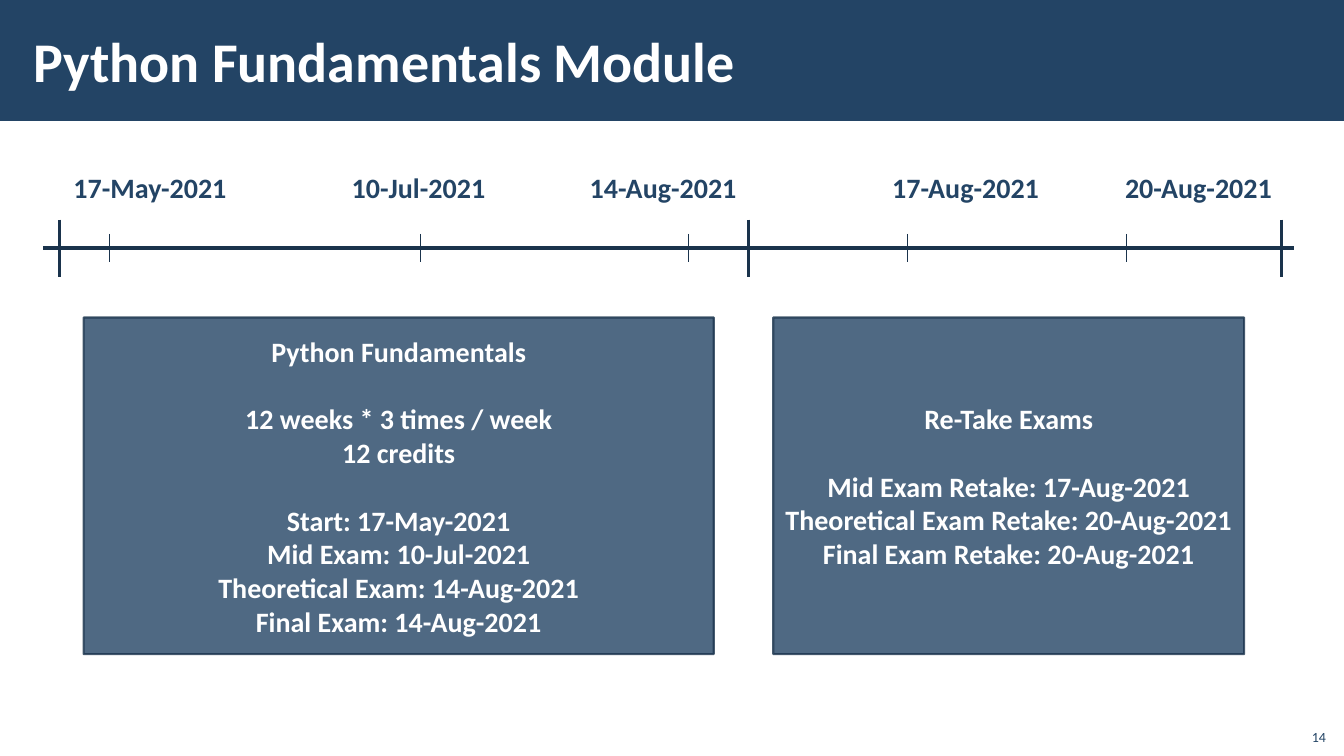
import pptx
import pptx.dml.color
import pptx.enum.shapes
import pptx.enum.text
import pptx.oxml
import pptx.oxml.ns
import pptx.util

Inches = pptx.util.Inches
Pt = pptx.util.Pt
ALIGN = pptx.enum.text.PP_ALIGN
ANCHOR = pptx.enum.text.MSO_ANCHOR
RECTANGLE = pptx.enum.shapes.MSO_SHAPE.RECTANGLE

NAVY = "234465"
DARK_NAVY = "1A334C"
WHITE = "FFFFFF"
FONT = "Calibri"
BLANK_LINE = 24.4  # height in points of one 20 pt line


def color(hex_string):
    return pptx.dml.color.RGBColor.from_string(hex_string)


def add_run(paragraph, text, size, hex_string, bold=True):
    run = paragraph.add_run()
    run.text = text
    run.font.name = FONT
    run.font.size = Pt(size)
    run.font.bold = bold
    run.font.color.rgb = color(hex_string)


def set_opacity(color_format_owner, percent):
    """Make the solid colour inside a fill or line element translucent."""
    for color_element in color_format_owner.iter(pptx.oxml.ns.qn("a:srgbClr")):
        alpha = color_element.makeelement(pptx.oxml.ns.qn("a:alpha"), {"val": str(percent * 1000)})
        color_element.append(alpha)


def add_rectangle(slide, left, top, width, height):
    shape = slide.shapes.add_shape(
        RECTANGLE, Inches(left), Inches(top), Inches(width), Inches(height))
    shape.shadow.inherit = False
    shape.fill.solid()
    shape.fill.fore_color.rgb = color(NAVY)
    return shape


def add_line(slide, x1, y1, x2, y2, weight):
    line = slide.shapes.add_connector(
        pptx.enum.shapes.MSO_CONNECTOR.STRAIGHT,
        Inches(x1), Inches(y1), Inches(x2), Inches(y2))
    line.line.color.rgb = color(DARK_NAVY)
    line.line.width = Pt(weight)
    properties = line.element.spPr
    properties.append(properties.makeelement(pptx.oxml.ns.qn("a:effectLst"), {}))


def add_header(slide, width, height, text):
    band = add_rectangle(slide, 0, 0, width, height)
    band.line.fill.background()

    # The title sits on top of the band
    title = slide.shapes.title
    band.element.addnext(title.element)
    title.left, title.top = Inches(0.21), Inches(0.11)
    title.width, title.height = Inches(10.63), Inches(height - 0.23)
    frame = title.text_frame
    frame.auto_size = pptx.enum.text.MSO_AUTO_SIZE.NONE
    frame.vertical_anchor = ANCHOR.MIDDLE
    frame.margin_left = frame.margin_right = Inches(0.12)
    frame.margin_top = frame.margin_bottom = Inches(0.04)
    paragraph = frame.paragraphs[0]
    paragraph.alignment = ALIGN.LEFT
    add_run(paragraph, text, 40, WHITE)


def add_timeline(slide, left, middle, width, borders, events):
    # Axis
    add_line(slide, left, middle, left + width, middle, 2.25)

    # Long marks bound the periods
    for x in borders:
        add_line(slide, x, middle - 0.28, x, middle + 0.29, 2.25)

    # Short marks with their dates
    for x, label_left, label_width, date in events:
        add_line(slide, x, middle - 0.14, x, middle + 0.14, 0.5)
        label = slide.shapes.add_textbox(
            Inches(label_left), Inches(middle - 0.82), Inches(label_width), Inches(0.44))
        label.text_frame.word_wrap = False
        add_run(label.text_frame.paragraphs[0], date, 20, NAVY)


def add_period_box(slide, left, top, width, height, groups):
    box = add_rectangle(slide, left, top, width, height)
    box.line.color.rgb = color(DARK_NAVY)
    box.line.width = Pt(1.5)
    set_opacity(box.element.spPr, 80)
    frame = box.text_frame
    frame.word_wrap = True
    frame.vertical_anchor = ANCHOR.MIDDLE
    paragraph = None
    for group in groups:
        for index, text in enumerate(group):
            first = paragraph is None
            paragraph = frame.paragraphs[0] if first else frame.add_paragraph()
            paragraph.alignment = ALIGN.CENTER
            if index == 0 and not first:
                paragraph.space_before = Pt(BLANK_LINE)
            add_run(paragraph, text, 20, WHITE)


def add_page_number(slide, left, top, width, height, number):
    box = slide.shapes.add_textbox(Inches(left), Inches(top), Inches(width), Inches(height))
    box.text_frame.word_wrap = True
    box.text_frame.vertical_anchor = ANCHOR.BOTTOM
    paragraph = box.text_frame.paragraphs[0]
    paragraph.alignment = ALIGN.RIGHT
    add_run(paragraph, number, 10, NAVY, bold=False)


def main():
    presentation = pptx.Presentation()
    presentation.slide_width = Inches(13.33)
    presentation.slide_height = Inches(7.5)
    slide = presentation.slides.add_slide(presentation.slide_layouts.get_by_name("Title Only"))

    add_header(slide, 13.33, 1.2, "Python Fundamentals Module")

    # Mark position, label left, label width, date
    events = [
        (1.08, 0.63, 1.74, "17-May-2021"),
        (4.17, 3.39, 1.54, "10-Jul-2021"),
        (6.83, 5.75, 1.68, "14-Aug-2021"),
        (9.0, 8.75, 1.68, "17-Aug-2021"),
        (11.17, 11.06, 1.68, "20-Aug-2021"),
    ]
    add_timeline(slide, 0.43, 2.46, 12.4, [0.59, 7.42, 12.71], events)

    # Course and retake periods
    add_period_box(slide, 0.83, 3.15, 6.25, 3.34, [
        ["Python Fundamentals"],
        ["12 weeks * 3 times / week", "12 credits"],
        ["Start: 17-May-2021", "Mid Exam: 10-Jul-2021",
         "Theoretical Exam: 14-Aug-2021", "Final Exam: 14-Aug-2021"],
    ])
    add_period_box(slide, 7.67, 3.15, 4.67, 3.34, [
        ["Re-Take Exams"],
        ["Mid Exam Retake: 17-Aug-2021", "Theoretical Exam Retake: 20-Aug-2021",
         "Final Exam Retake: 20-Aug-2021"],
    ])

    add_page_number(slide, 12.85, 7.12, 0.4, 0.32, "14")
    presentation.save("out.pptx")


if __name__ == "__main__":
    main()
